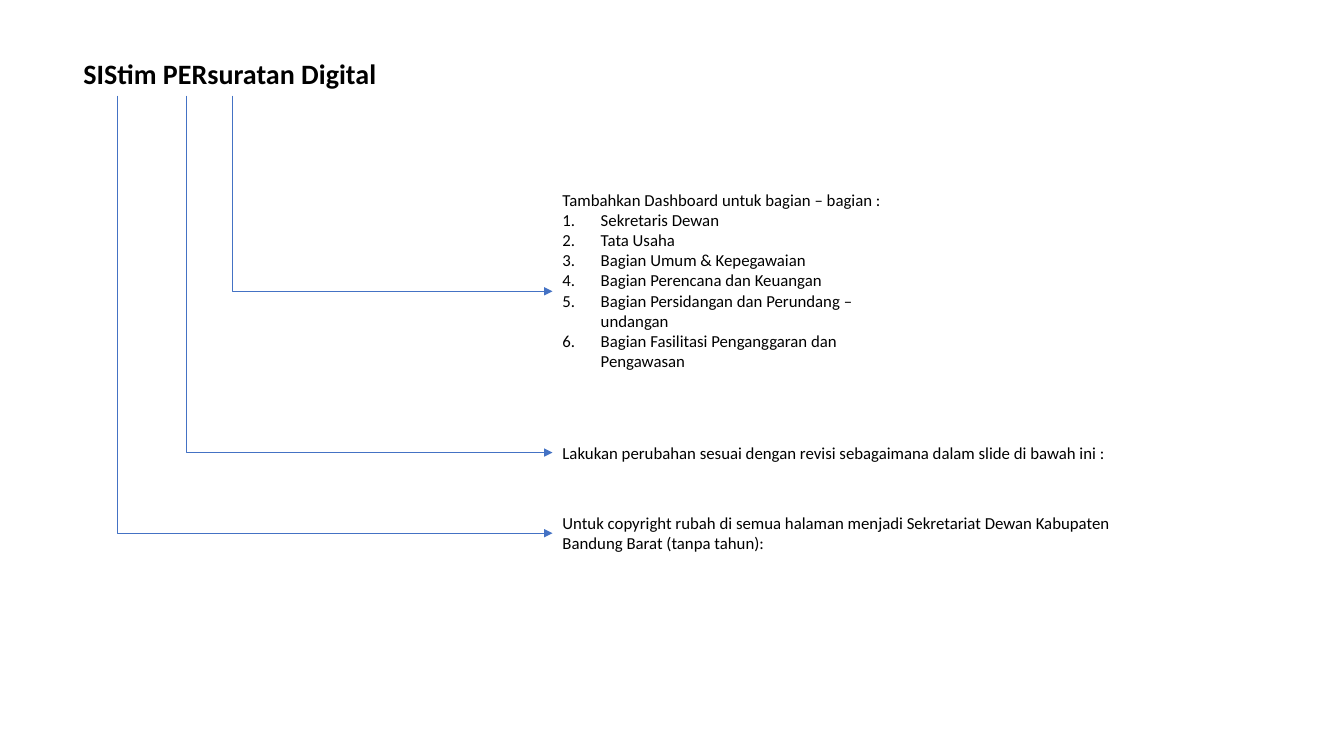
import pptx
import pptx.dml.color
import pptx.enum.shapes
import pptx.enum.text
import pptx.oxml.ns
import pptx.oxml.xmlchemy
import pptx.util
from lxml import etree
from pptx.util import Inches

BLACK = pptx.dml.color.RGBColor(0x00, 0x00, 0x00)
BLUE = pptx.dml.color.RGBColor(0x44, 0x72, 0xC4)
FONT = "Calibri"
TITLE_BOTTOM = 0.95
NOTE_LEFT = 5.48
NUMBER_INDENT = Inches(0.38)

DEPARTMENTS = [
    "Sekretaris Dewan",
    "Tata Usaha",
    "Bagian Umum & Kepegawaian",
    "Bagian Perencana dan Keuangan",
    "Bagian Persidangan dan Perundang – undangan",
    "Bagian Fasilitasi Penganggaran dan Pengawasan",
]

NOTES = [
    (2.31, 1.83, 3.65, 2.12, "Tambahkan Dashboard untuk bagian – bagian :", DEPARTMENTS),
    (1.85, 4.34, 5.62, 0.3,
     "Lakukan perubahan sesuai dengan revisi sebagaimana dalam slide di bawah ini :", []),
    (1.16, 5.04, 6.01, 0.5,
     "Untuk copyright rubah di semua halaman menjadi Sekretariat Dewan Kabupaten "
     "Bandung Barat (tanpa tahun):", []),
]


def add_child(parent, tag, **attributes):
    return etree.SubElement(parent, pptx.oxml.ns.qn(tag), **attributes)


def number_paragraph(paragraph):
    properties = paragraph._p.get_or_add_pPr()
    properties.set("marL", str(NUMBER_INDENT))
    properties.set("indent", str(-NUMBER_INDENT))
    add_child(properties, "a:buFont", typeface="+mj-lt")
    add_child(properties, "a:buAutoNum", type="arabicPeriod")


def add_text(slide, left, top, width, height, heading, items=(), size=12, bold=False):
    box = slide.shapes.add_textbox(Inches(left), Inches(top), Inches(width), Inches(height))
    frame = box.text_frame
    frame.word_wrap = True
    frame.auto_size = pptx.enum.text.MSO_AUTO_SIZE.SHAPE_TO_FIT_TEXT
    frame.text = "\n".join([heading, *items])
    for paragraph in frame.paragraphs[1:]:
        number_paragraph(paragraph)
    for paragraph in frame.paragraphs:
        paragraph.font.name = FONT
        paragraph.font.size = pptx.util.Pt(size)
        paragraph.font.bold = bold
        paragraph.font.color.rgb = BLACK


def add_elbow_arrow(slide, start_x, end_y):
    arrow = slide.shapes.add_connector(
        pptx.enum.shapes.MSO_CONNECTOR.ELBOW,
        Inches(start_x), Inches(TITLE_BOTTOM), Inches(NOTE_LEFT), Inches(end_y))
    arrow.line.color.rgb = BLUE
    arrow.line.width = pptx.util.Pt(0.5)
    properties = arrow._element.spPr
    guides = properties.find(".//" + pptx.oxml.ns.qn("a:avLst"))
    add_child(guides, "a:gd", name="adj1", fmla="val 0")
    add_child(arrow.line._get_or_add_ln(), "a:tailEnd", type="triangle")
    add_child(properties, "a:effectLst")


def main():
    presentation = pptx.Presentation()
    presentation.slide_width = Inches(13.33)
    presentation.slide_height = Inches(7.5)
    slide = presentation.slides.add_slide(presentation.slide_layouts[6])
    add_text(slide, 0.73, 0.51, 3.16, 0.44, "SIStim PERsuratan Digital", size=20, bold=True)
    for start_x, top, width, height, heading, items in NOTES:
        add_text(slide, NOTE_LEFT, top, width, height, heading, items)
        add_elbow_arrow(slide, start_x, top + height / 2)
    presentation.save("out.pptx")


if __name__ == "__main__":
    main()
